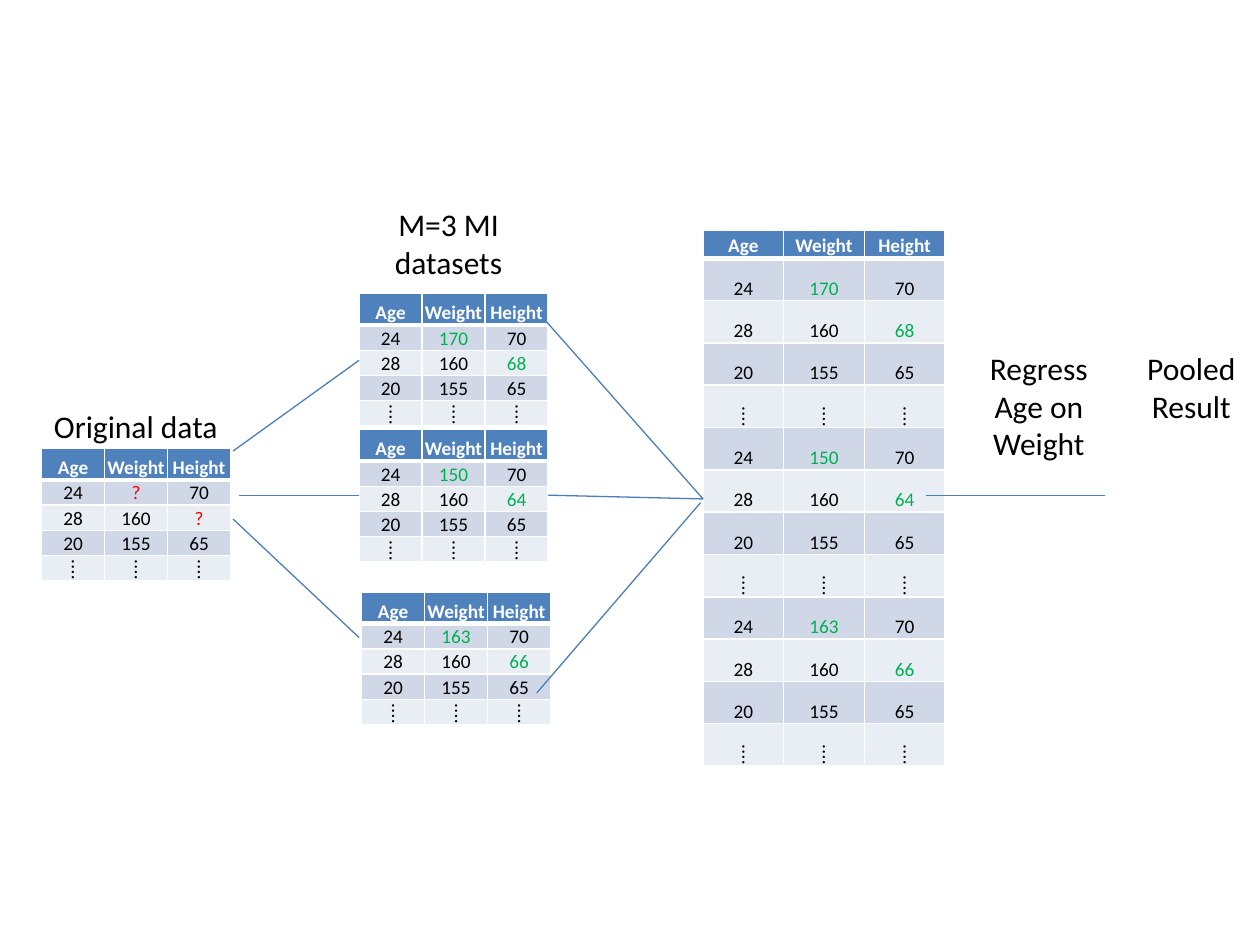
import dataclasses
import pptx
import pptx.dml.color
import pptx.enum.shapes
import pptx.enum.text
import pptx.oxml
import pptx.oxml.ns
import pptx.util


@dataclasses.dataclass(frozen=True)
class Theme:
    font: str = "Calibri"
    label_size: int = 18
    cell_size: int = 11
    ink: str = "000000"
    paper: str = "FFFFFF"
    header: str = "4F81BD"
    bands: tuple = ("D0D8E8", "E9EDF4")
    missing: str = "FF0000"
    imputed: str = "00B050"
    link: str = "4B7EBC"
    link_width: float = 0.75
    border: int = 1
    header_border: int = 3


THEME = Theme()
WIDTH, HEIGHT = pptx.util.Inches(10), pptx.util.Inches(7.5)

FIELDS = ("Age", "Weight", "Height")
ORIGINAL = [("24", "?", "70"), ("28", "160", "?"), ("20", "155", "65"), ("⁞",) * 3]
IMPUTATIONS = [("170", "68"), ("150", "64"), ("163", "66")]

# All places and sizes below are percentages of the slide's width and height.
ORIGINAL_AT = (3.3, 47.47)
IMPUTED_AT = [(28.5, 31.07), (28.5, 45.47), (28.7, 62.67)]
STACKED_AT = (55.8, 24.4)
SMALL_GRID = {"column": 5, "head": 3.33, "row": 2.67}
LARGE_GRID = {"column": 6.4, "head": 2.93, "row": 4.48}

LABELS = [
    ("Original data", (3.3, 42.4, 15.1, 5.33), {"align": "LEFT", "wrap": False}),
    ("M=3 MI datasets", (28.5, 21.07, 14.2, 9.47), {}),
    ("Regress Age on Weight", (76.2, 36.27, 12.5, 13.47), {}),
    ("Pooled Result", (87.7, 36.27, 13.7, 9.47), {}),
]
LINKS = [
    ((18.5, 47.73), (28.5, 38.13)),
    ((18.5, 54.93), (28.5, 67.47)),
    ((19, 52.4), (28.5, 52.4)),
    ((42.9, 33.33), (55.8, 52.8)),
    ((43.5, 52.4), (55.8, 52.8)),
    ((42.6, 73.33), (55.6, 53.2)),
    ((73.5, 52.4), (87.7, 52.4)),
]


def across(share):
    return round(WIDTH * share / 100)


def down(share):
    return round(HEIGHT * share / 100)


def rgb(color):
    return pptx.dml.color.RGBColor.from_string(color)


def write(frame, text, size=THEME.label_size, color=THEME.ink, bold=False,
          align="CENTER", wrap=True):
    frame.word_wrap = wrap
    paragraph = frame.paragraphs[0]
    paragraph.alignment = getattr(pptx.enum.text.PP_ALIGN, align)
    run = paragraph.add_run()
    run.text = text
    run.font.name = THEME.font
    run.font.size = pptx.util.Pt(size)
    run.font.bold = bold
    run.font.color.rgb = rgb(color)


def add_borders(cell, bottom):
    properties = cell._tc.get_or_add_tcPr()
    widths = {"L": THEME.border, "R": THEME.border, "T": THEME.border, "B": bottom}
    for place, (side, width) in enumerate(widths.items()):
        properties.insert(place, pptx.oxml.parse_xml(
            f'<a:ln{side} {pptx.oxml.ns.nsdecls("a")} w="{pptx.util.Pt(width)}">'
            f'<a:solidFill><a:srgbClr val="{THEME.paper}"/></a:solidFill></a:ln{side}>'))


def fill_cell(cell, text, fill, bottom=THEME.border, **style):
    cell.margin_left = cell.margin_right = cell.margin_top = pptx.util.Inches(0.01)
    cell.margin_bottom = 0
    cell.vertical_anchor = pptx.enum.text.MSO_ANCHOR.BOTTOM
    cell.fill.solid()
    cell.fill.fore_color.rgb = rgb(fill)
    add_borders(cell, bottom)
    write(cell.text_frame, text, size=THEME.cell_size, **style)


def impute(weight, height):
    values = iter((weight, height))
    return [[(next(values), THEME.imputed) if text == "?" else (text, THEME.ink)
             for text in record] for record in ORIGINAL]


def add_dataset(slide, at, records, column, head, row):
    table = slide.shapes.add_table(
        len(records) + 1, len(FIELDS), across(at[0]), down(at[1]),
        across(column * len(FIELDS)), down(head + row * len(records))).table
    for table_column in table.columns:
        table_column.width = across(column)
    for index, table_row in enumerate(table.rows):
        table_row.height = down(row if index else head)
    for place, field in enumerate(FIELDS):
        fill_cell(table.cell(0, place), field, THEME.header,
                  bottom=THEME.header_border, color=THEME.paper, bold=True)
    for index, record in enumerate(records):
        for place, (text, color) in enumerate(record):
            fill_cell(table.cell(index + 1, place), text, THEME.bands[index % 2],
                      color=color)


def add_label(slide, text, box, **style):
    left, top, width, height = box
    label = slide.shapes.add_textbox(across(left), down(top), across(width), down(height))
    write(label.text_frame, text, **style)


def add_link(slide, start, end):
    link = slide.shapes.add_connector(
        pptx.enum.shapes.MSO_CONNECTOR.STRAIGHT,
        across(start[0]), down(start[1]), across(end[0]), down(end[1]))
    link.line.color.rgb = rgb(THEME.link)
    link.line.width = pptx.util.Pt(THEME.link_width)
    link._element.spPr.append(
        pptx.oxml.parse_xml(f'<a:effectLst {pptx.oxml.ns.nsdecls("a")}/>'))


def main():
    deck = pptx.Presentation()
    deck.slide_width, deck.slide_height = WIDTH, HEIGHT
    slide = deck.slides.add_slide(deck.slide_layouts[6])
    original = [[(text, THEME.missing if text == "?" else THEME.ink) for text in record]
                for record in ORIGINAL]
    imputed = [impute(*values) for values in IMPUTATIONS]
    add_dataset(slide, ORIGINAL_AT, original, **SMALL_GRID)
    for at, records in zip(IMPUTED_AT, imputed):
        add_dataset(slide, at, records, **SMALL_GRID)
    add_dataset(slide, STACKED_AT, sum(imputed, []), **LARGE_GRID)
    for text, box, style in LABELS:
        add_label(slide, text, box, **style)
    for start, end in LINKS:
        add_link(slide, start, end)
    deck.save("out.pptx")


if __name__ == "__main__":
    main()
